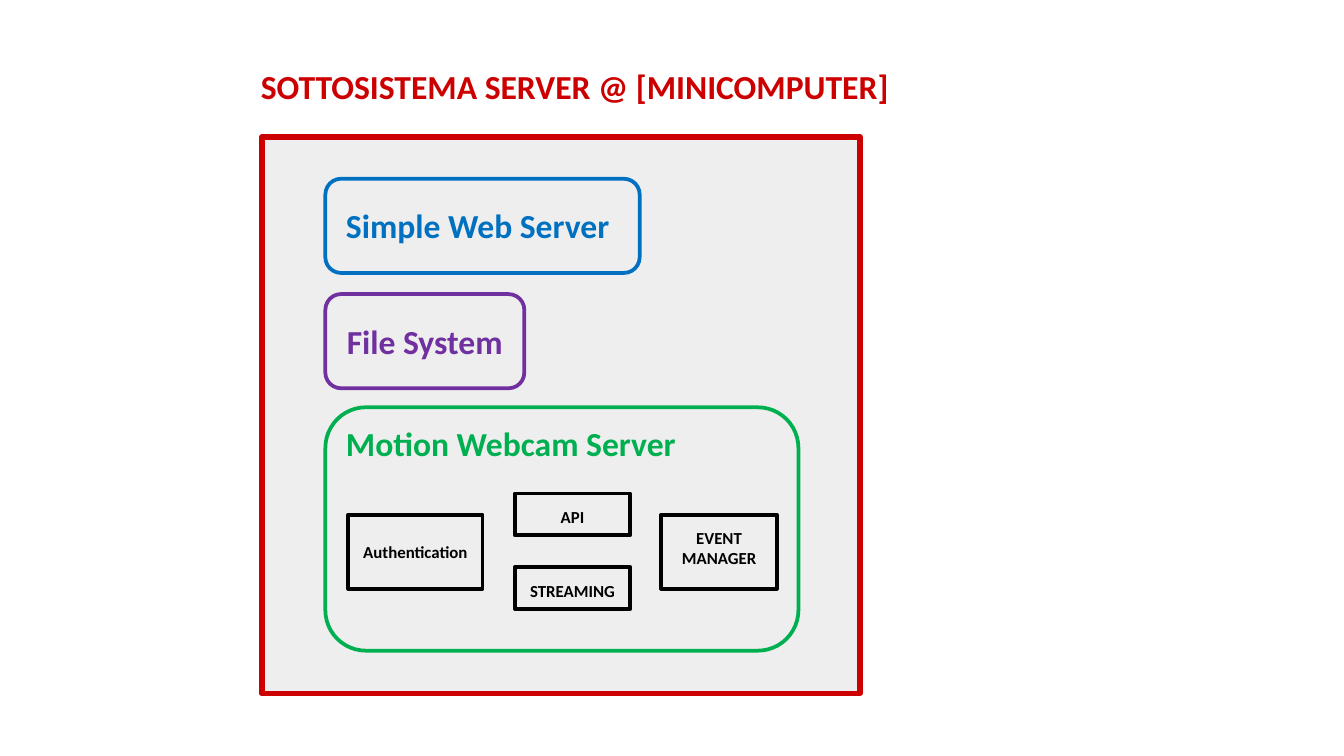
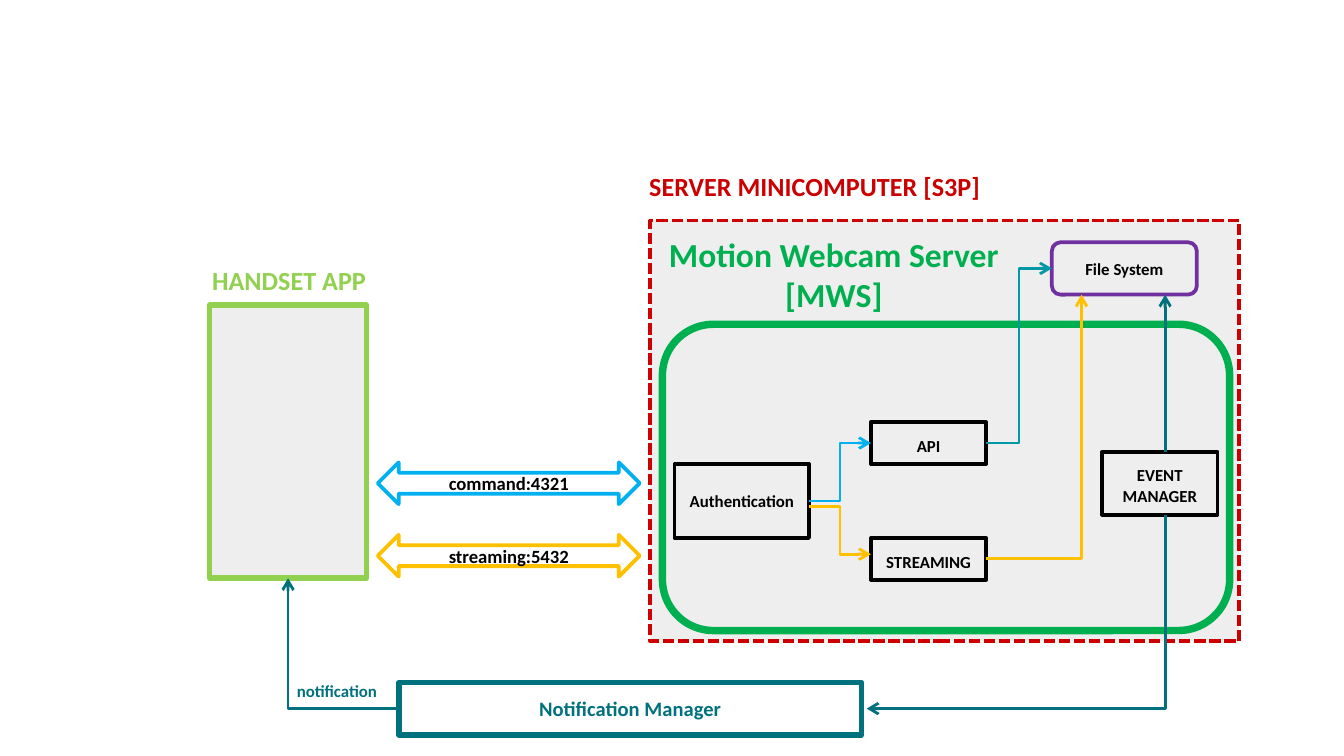
from dataclasses import dataclass

from lxml import etree
from pptx import Presentation
from pptx import util as u
from pptx.dml import color
from pptx.enum import dml, shapes, text
from pptx.oxml import ns

FONT = "Calibri"
PANEL, WHITE, BLACK = "EEEEEE", "FFFFFF", "000000"
RED, GREEN, LIME, PURPLE = "CC0000", "00B050", "92D050", "7030A0"
BLUE, SKY, AMBER, TEAL, CYAN = "0070C0", "00B0F0", "FFC000", "00717D", "0097A7"
RECT = shapes.MSO_SHAPE.RECTANGLE
ROUND = shapes.MSO_SHAPE.ROUNDED_RECTANGLE
DOUBLE_ARROW = shapes.MSO_SHAPE.LEFT_RIGHT_ARROW
MIDDLE, TOP = text.MSO_ANCHOR.MIDDLE, text.MSO_ANCHOR.TOP
SMALL_WIDTH, SMALL_HEIGHT = 2.18, 0.79


@dataclass
class Box:
    """A region of the slide, in centimetres."""
    left: float
    top: float
    width: float
    height: float

    @property
    def right(self):
        return self.left + self.width

    @property
    def bottom(self):
        return self.top + self.height

    @property
    def center(self):
        return self.left + self.width / 2

    @property
    def middle(self):
        return self.top + self.height / 2

    def inside(self, x, y, width, height):
        return Box(self.left + x, self.top + y, width, height)

    def lengths(self):
        return [u.Cm(n) for n in (self.left, self.top, self.width, self.height)]


def rgb(value):
    return color.RGBColor.from_string(value)


def write(shape, words, size=9, ink=BLACK, centered=True, anchor=TOP, inset=0.25):
    frame = shape.text_frame
    frame.word_wrap = True
    frame.vertical_anchor = anchor
    frame.margin_left = frame.margin_right = u.Cm(inset)
    frame.margin_top = frame.margin_bottom = u.Cm(inset)
    for index, line in enumerate(words.split("\n")):
        paragraph = frame.add_paragraph() if index else frame.paragraphs[0]
        paragraph.alignment = text.PP_ALIGN.CENTER if centered else text.PP_ALIGN.LEFT
        run = paragraph.add_run()
        run.text = line
        run.font.name, run.font.size, run.font.bold = FONT, u.Pt(size), True
        run.font.color.rgb = rgb(ink)


def add_label(slide, box, words, **style):
    write(slide.shapes.add_textbox(*box.lengths()), words, **style)


def add_block(slide, box, outline, weight=2, kind=RECT, fill=None, words=None, **style):
    shape = slide.shapes.add_shape(kind, *box.lengths())
    shape.shadow.inherit = False
    if fill:
        shape.fill.solid()
        shape.fill.fore_color.rgb = rgb(fill)
    else:
        shape.fill.background()
    shape.line.color.rgb = rgb(outline)
    shape.line.width = u.Pt(weight)
    if words:
        write(shape, words, **style)
    return shape


def add_arrow(slide, start, end, ink, preset="bentConnector3", tip="tailEnd"):
    """Connector that leaves start horizontally; tip names the end with the arrowhead."""
    points = [u.Cm(n) for n in (*start, *end)]
    connector = slide.shapes.add_connector(shapes.MSO_CONNECTOR.ELBOW, *points)
    connector.line.color.rgb = rgb(ink)
    connector.line.width = u.Pt(1.5)
    properties = connector._element.spPr
    properties.find(ns.qn("a:prstGeom")).set("prst", preset)
    etree.SubElement(connector.line._get_or_add_ln(), ns.qn(f"a:{tip}"), type="arrow")
    etree.SubElement(properties, ns.qn("a:effectLst"))


def add_modules(slide, area, authentication, api, streaming, event, event_height):
    """Four parts of the webcam server, each given by its offset in the area."""
    parts = [
        ("Authentication", area.inside(*authentication, 2.54, 1.4), MIDDLE),
        ("API", area.inside(*api, SMALL_WIDTH, SMALL_HEIGHT), TOP),
        ("STREAMING", area.inside(*streaming, SMALL_WIDTH, SMALL_HEIGHT), TOP),
        ("EVENT\nMANAGER", area.inside(*event, SMALL_WIDTH, event_height), TOP),
    ]
    for words, box, anchor in parts:
        add_block(slide, box, BLACK, words=words, anchor=anchor)
    return [box for _, box, _ in parts]


def build_subsystem(slide, server):
    add_label(slide, server.inside(-0.27, -1.6, 13.11, 1.19),
              "SOTTOSISTEMA SERVER @ [MINICOMPUTER]", size=18, ink=RED, centered=False)
    add_block(slide, server, RED, weight=3, fill=PANEL)

    # Web server and file system
    web = server.inside(1.2, 0.79, 5.94, 1.78)
    add_block(slide, web, BLUE, kind=ROUND, fill=PANEL)
    add_label(slide, web.inside(0.14, 0.25, 7.54, 1.27), "Simple Web Server",
              size=18, ink=BLUE, centered=False)
    add_block(slide, server.inside(1.2, 2.97, 3.76, 1.78), PURPLE, kind=ROUND,
              words="File System", size=18, ink=PURPLE, anchor=MIDDLE)

    # Webcam server
    webcam = server.inside(1.2, 5.11, 8.94, 4.6)
    add_block(slide, webcam, GREEN, kind=ROUND, fill=PANEL)
    add_label(slide, webcam.inside(0.14, 0.05, 6.93, 1.19), "Motion Webcam Server",
              size=18, ink=GREEN, centered=False)
    add_modules(slide, webcam, authentication=(0.43, 2.03), api=(3.58, 1.63),
                streaming=(3.58, 3.02), event=(6.35, 2.03), event_height=1.4)


def build_app(slide, phone):
    add_block(slide, phone, LIME, weight=3, fill=PANEL)
    add_label(slide, phone.inside(-0.2, -1.02, 4.24, 0.99), "HANDSET APP",
              size=14, ink=LIME, centered=False)


def build_server(slide, server):
    panel = add_block(slide, server, RED, fill=PANEL)
    panel.line.dash_style = dml.MSO_LINE.SQUARE_DOT
    add_label(slide, server.inside(-0.27, -1.19, 7.95, 1.19),
              "SERVER MINICOMPUTER [S3P]", size=14, ink=RED, centered=False)

    # Webcam server, its modules and the file system
    webcam = server.inside(0.23, 1.96, 10.72, 5.79)
    add_block(slide, webcam, GREEN, weight=4, kind=ROUND, fill=PANEL)
    add_label(slide, server.inside(-0.1, 0, 7.14, 1.98),
              "Motion Webcam Server\n[MWS]", size=18, ink=GREEN)
    files = server.inside(7.59, 0.41, 2.74, 0.99)
    add_block(slide, files, PURPLE, kind=ROUND, words="File System", anchor=MIDDLE)
    authentication, api, streaming, event = add_modules(
        slide, webcam, authentication=(0.23, 2.64), api=(3.94, 1.85),
        streaming=(3.94, 4.04), event=(8.31, 2.41), event_height=1.19)

    # Flows between the modules
    add_arrow(slide, (authentication.right, authentication.middle),
              (api.left, api.middle), SKY)
    add_arrow(slide, (authentication.right, authentication.middle + 0.11),
              (streaming.left, streaming.middle - 0.09), AMBER)
    add_arrow(slide, (api.right, api.middle), (files.left, files.middle), CYAN)
    add_arrow(slide, (streaming.right, streaming.middle),
              (files.left + 0.56, files.bottom), AMBER, preset="bentConnector2")
    event_line = event.center + 0.1
    add_arrow(slide, (event_line, event.top), (event_line, files.bottom), TEAL,
              preset="straightConnector1")
    return event_line, event.bottom


def build_channels(slide, area):
    channels = [("command:4321", SKY), ("streaming:5432", AMBER)]
    for index, (words, ink) in enumerate(channels):
        add_block(slide, area.inside(0, index * 1.37, area.width, SMALL_HEIGHT), ink,
                  kind=DOUBLE_ARROW, fill=WHITE, words=words, size=10,
                  anchor=MIDDLE, inset=0)


def build_notification(slide, manager, phone, event_exit):
    add_block(slide, manager, TEAL, weight=3, words="Notification Manager",
              size=11, ink=TEAL)
    add_label(slide, manager.inside(-2.18, -0.2, 2.06, 0.71), "notification",
              ink=TEAL, centered=False, anchor=MIDDLE)
    add_arrow(slide, (manager.right + 0.1, manager.middle), event_exit, TEAL,
              preset="bentConnector2", tip="headEnd")
    add_arrow(slide, (manager.left, manager.middle), (phone.center, phone.bottom),
              TEAL, preset="bentConnector2")


def build_architecture(slide):
    phone = Box(3.96, 5.77, 2.97, 5.16)
    build_app(slide, phone)
    event_exit = build_server(slide, Box(12.29, 4.17, 11.13, 7.95))
    build_channels(slide, Box(7.14, 8.74, 4.95, 2.16))
    build_notification(slide, Box(7.54, 12.9, 8.74, 0.99), phone, event_exit)


def main():
    presentation = Presentation()
    presentation.slide_width, presentation.slide_height = u.Cm(25.4), u.Cm(14.29)
    blank = presentation.slide_layouts[6]
    build_subsystem(presentation.slides.add_slide(blank), Box(4.95, 2.59, 11.3, 10.52))
    build_architecture(presentation.slides.add_slide(blank))
    presentation.save("out.pptx")


if __name__ == "__main__":
    main()
